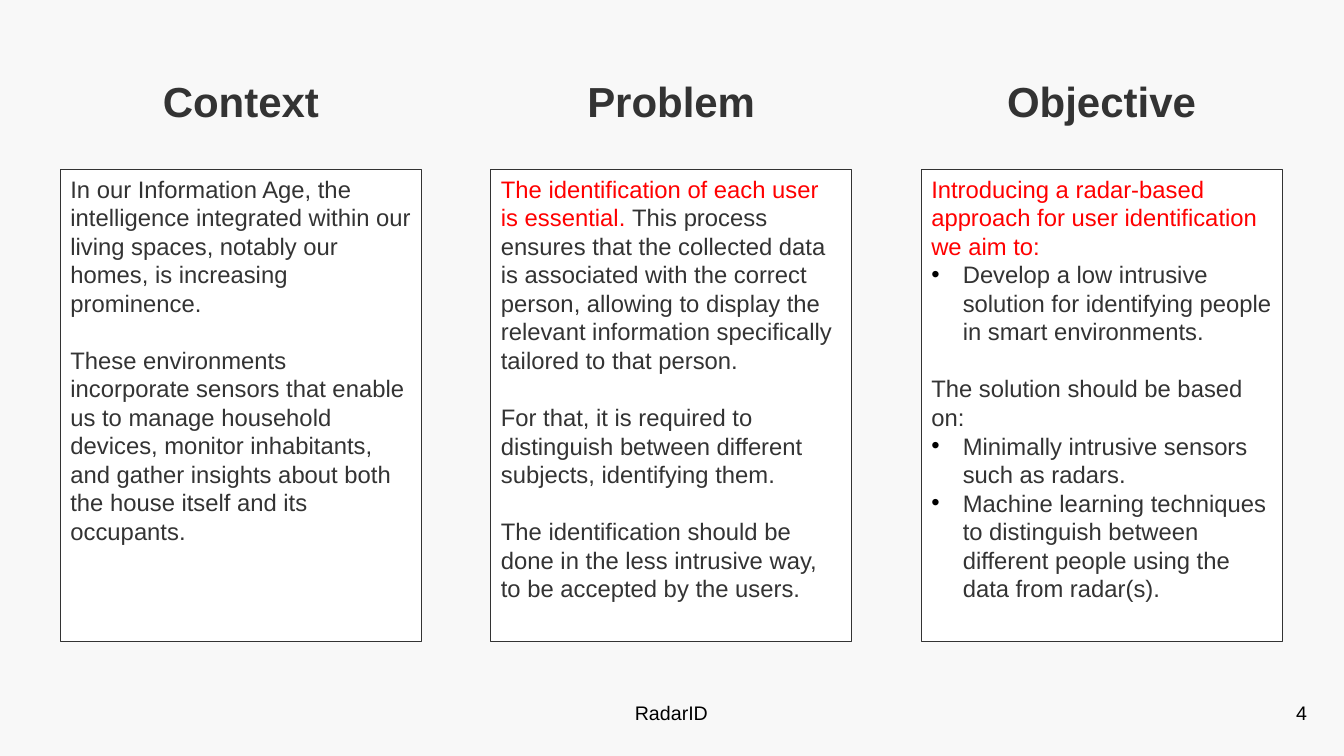
from lxml.etree import SubElement
from pptx import Presentation
from pptx.dml.color import RGBColor
from pptx.enum.text import MSO_ANCHOR as ANCHOR, MSO_AUTO_SIZE as AUTO, PP_ALIGN as ALIGN
from pptx.oxml.ns import qn
from pptx.util import Pt

BACKGROUND = RGBColor(0xF8, 0xF8, 0xF8)
WHITE = RGBColor(0xFF, 0xFF, 0xFF)
BLACK = RGBColor(0, 0, 0)
DARK = RGBColor(0x33, 0x33, 0x33)
RED = RGBColor(0xFF, 0, 0)

FONT = "Arial"
BODY_SIZE = 17
LEADING = 1.2
INDENT = 22.5

PLAIN, GAP, BULLET = "plain", "gap", "bullet"

COLUMNS = [
    ("Context", [
        (PLAIN, [("In our Information Age, the intelligence integrated within our living "
                  "spaces, notably our homes, is increasing prominence.", DARK)]),
        (GAP, [("These environments incorporate sensors that enable us to manage household "
                "devices, monitor inhabitants, and gather insights about both the house "
                "itself and its occupants.", DARK)]),
    ]),
    ("Problem", [
        (PLAIN, [("The identification of each user is essential. ", RED),
                 ("This process ensures that the collected data is associated with the "
                  "correct person, allowing to display the relevant information "
                  "specifically tailored to that person.", DARK)]),
        (GAP, [("For that, it is required to distinguish between different subjects, "
                "identifying them.", DARK)]),
        (GAP, [("The identification should be done in the less intrusive way, to be "
                "accepted by the users.", DARK)]),
    ]),
    ("Objective", [
        (PLAIN, [("Introducing a radar-based approach for user identification we aim to:",
                  RED)]),
        (BULLET, [("Develop a low intrusive solution for identifying people in smart "
                   "environments.", DARK)]),
        (GAP, [("The solution should be based on:", DARK)]),
        (BULLET, [("Minimally intrusive sensors such as radars.", DARK)]),
        (BULLET, [("Machine learning techniques to distinguish between different people "
                   "using the data from radar(s).", DARK)]),
    ]),
]


def place(s, left, top, width, height):
    """Move a shape to a box given in points."""
    s.left, s.top, s.width, s.height = Pt(left), Pt(top), Pt(width), Pt(height)


def setup_frame(s, wrap=True):
    """Prepare a shape's text frame and return it."""
    tf = s.text_frame
    tf.word_wrap = wrap
    tf.auto_size = AUTO.NONE
    tf.vertical_anchor = ANCHOR.TOP
    return tf


def format_paragraph(p, size, before=0, align=ALIGN.LEFT, bullet=False):
    """Set spacing, alignment and bullet of a paragraph."""
    p.alignment = align
    p.line_spacing = Pt(size * LEADING)
    p.space_before = Pt(before)
    p.space_after = Pt(0)
    pPr = p._p.get_or_add_pPr()
    indent = Pt(INDENT) if bullet else 0
    pPr.set("marL", str(indent))
    pPr.set("indent", str(-indent))
    if bullet:
        color = SubElement(pPr, qn("a:buClr"))
        SubElement(color, qn("a:srgbClr"), val=str(BLACK))
        SubElement(pPr, qn("a:buFont"), typeface=FONT)
        SubElement(pPr, qn("a:buChar"), char="•")
    else:
        SubElement(pPr, qn("a:buNone"))


def format_run(r, size, color, bold=False):
    """Set the font of a run."""
    r.font.name = FONT
    r.font.size = Pt(size)
    r.font.bold = bold
    r.font.color.rgb = color


def add_line(s, text, size, color, wrap=True, bold=False, align=ALIGN.LEFT):
    """Fill a shape with one line of text."""
    tf = setup_frame(s, wrap)
    tf.text = text
    p = tf.paragraphs[0]
    format_paragraph(p, size, align=align)
    format_run(p.runs[0], size, color, bold)


def fill_body(s, paragraphs):
    """Write the framed text of a column."""
    s.fill.solid()
    s.fill.fore_color.rgb = WHITE
    s.line.color.rgb = DARK
    s.line.width = Pt(0.75)
    tf = setup_frame(s)
    for i, (kind, parts) in enumerate(paragraphs):
        p = tf.add_paragraph() if i else tf.paragraphs[0]
        before = BODY_SIZE * LEADING if kind == GAP else 0
        format_paragraph(p, BODY_SIZE, before, bullet=kind == BULLET)
        for text, color in parts:
            r = p.add_run()
            r.text = text
            format_run(r, BODY_SIZE, color)


def build_column(heading, body, content, left, top, width, height):
    """Lay out a heading above its framed text inside the given box."""
    title, paragraphs = content
    place(heading, left, top, width, 44)
    add_line(heading, title, 30, DARK, bold=True, align=ALIGN.CENTER)
    place(body, left, top + 70.6, width, height - 70.6)
    fill_body(body, paragraphs)


def build_footer(slide, left, top, width, height):
    """Add the project name and the page number along the bottom."""
    for text, offset, box_width in (("RadarID", 0, 67), ("4", width - 22.3, 22.3)):
        s = slide.shapes.add_textbox(Pt(left + offset), Pt(top), Pt(box_width), Pt(height))
        add_line(s, text, 14, BLACK, wrap=False)


def build_overview(prs):
    """Build the slide with context, problem and objective."""
    slide = prs.slides.add_slide(prs.slide_layouts[4])
    slide.background.fill.solid()
    slide.background.fill.fore_color.rgb = BACKGROUND
    holders = slide.placeholders
    headings = [holders[0], holders[1], holders[3]]
    bodies = [slide.shapes.add_textbox(0, 0, 0, 0), holders[2], holders[4]]
    for i, (heading, body, content) in enumerate(zip(headings, bodies, COLUMNS)):
        build_column(heading, body, content, 43.2 + i * 307.4, 50.4, 257.8, 407.7)
    build_footer(slide, 446.4, 496.8, 494.6, 24.5)


def main():
    """Create the presentation and save it."""
    prs = Presentation()
    prs.slide_width, prs.slide_height = Pt(960), Pt(540)
    build_overview(prs)
    prs.save("out.pptx")


if __name__ == "__main__":
    main()
